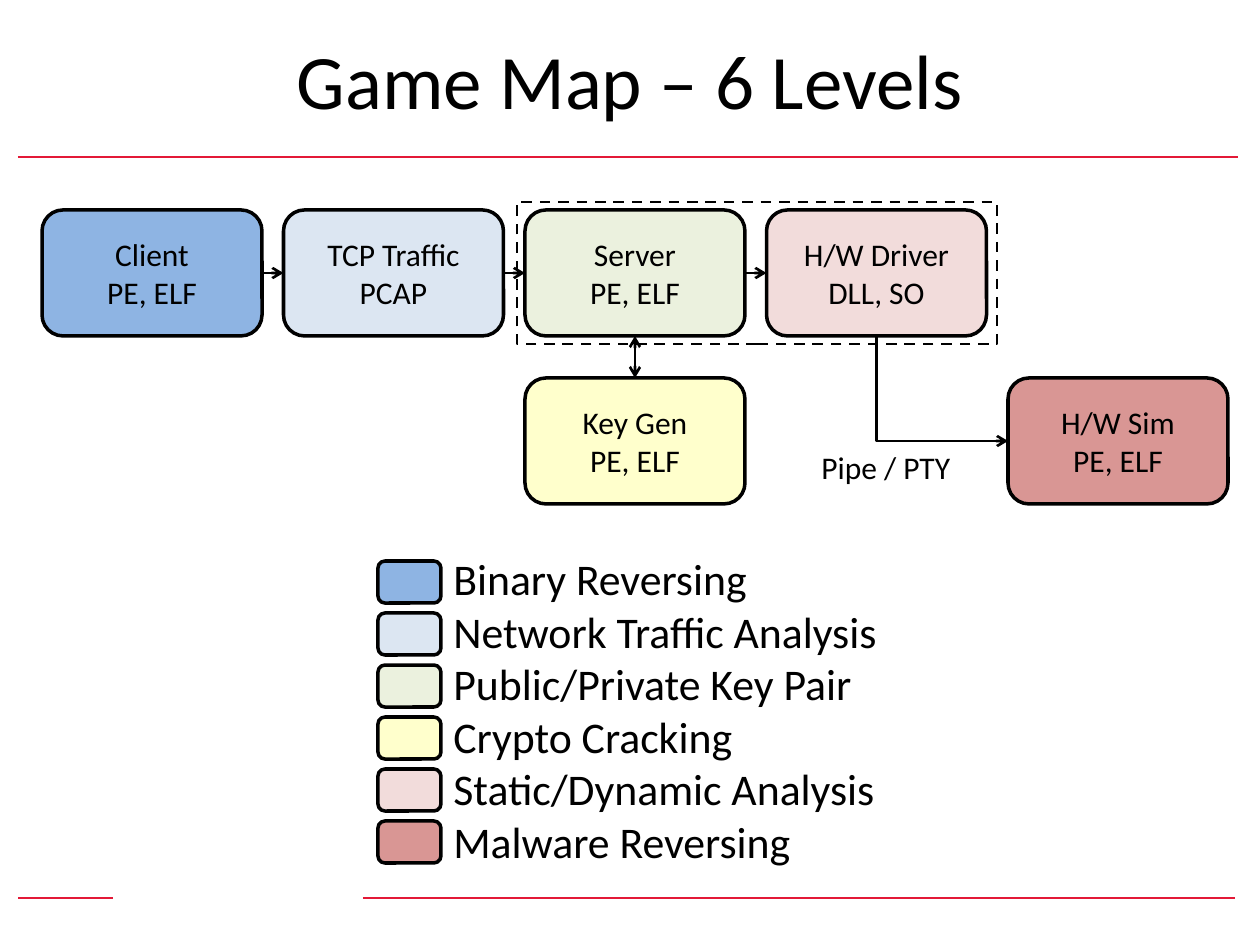
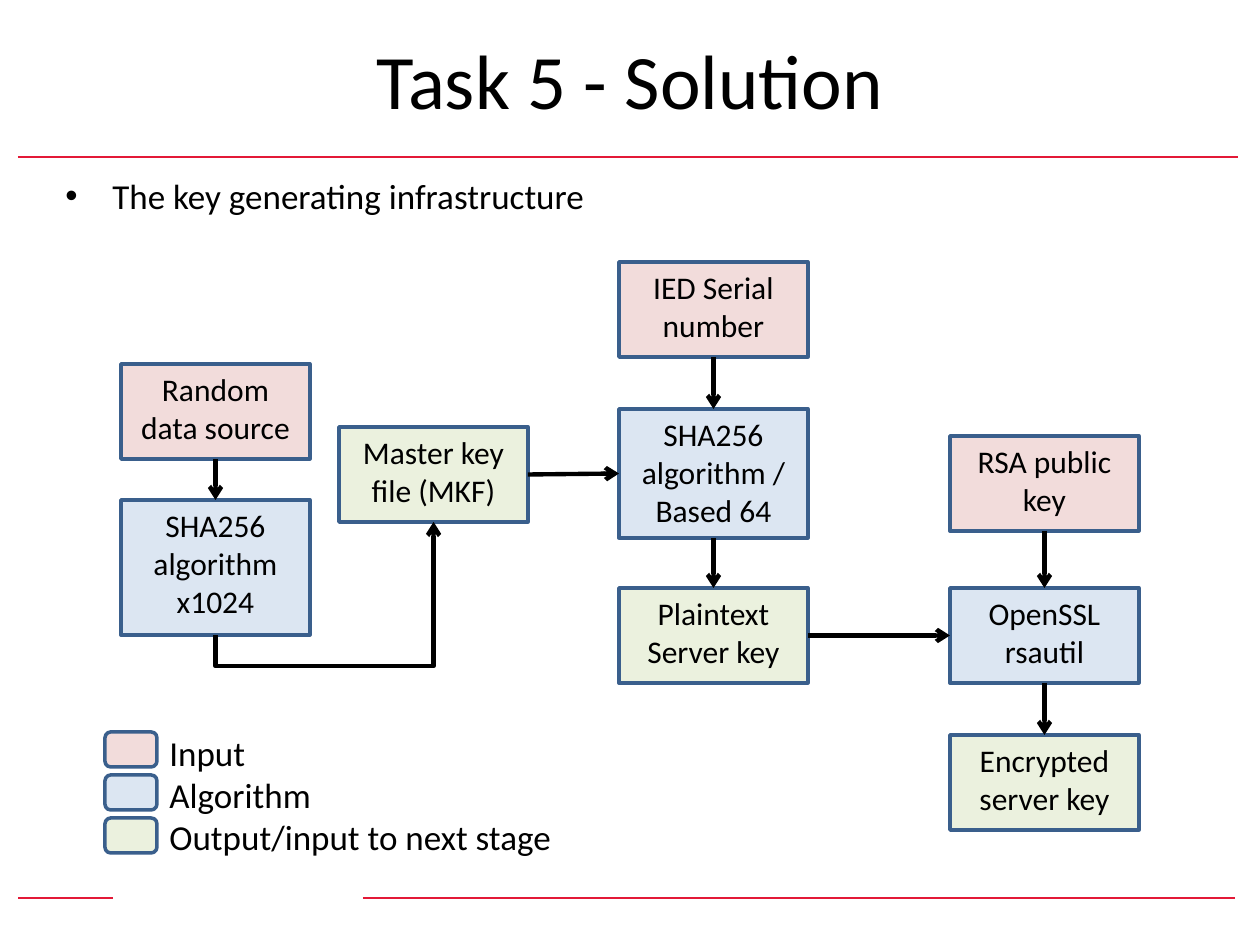
from lxml import etree
from pptx import Presentation, util as u
from pptx.dml.color import RGBColor
from pptx.enum import dml, shapes, text
from pptx.oxml import ns

FONT = "Calibri"
BLACK, RED, NAVY = "000000", "E31937", "3A5F8C"
BLUE, PALE_BLUE, GREEN = "8EB4E3", "DCE6F2", "EBF1DE"
YELLOW, PINK, ROSE = "FFFFCC", "F2DCDB", "D99694"
RECT = shapes.MSO_SHAPE.RECTANGLE
ROUNDED = shapes.MSO_SHAPE.ROUNDED_RECTANGLE


def px(n):
    return u.Emu(round(n * u.Inches(1) / 126))


def colour(hex_string):
    return RGBColor.from_string(hex_string)


def sub(parent, tag, **attributes):
    return etree.SubElement(parent, ns.qn(tag), attributes)


# Text, boxes and lines

def write(frame, lines, size, align=text.PP_ALIGN.LEFT, anchor=text.MSO_ANCHOR.TOP):
    frame.word_wrap = True
    frame.vertical_anchor = anchor
    for i, line in enumerate(lines):
        paragraph = frame.add_paragraph() if i else frame.paragraphs[0]
        paragraph.alignment = align
        run = paragraph.add_run()
        run.text = line
        run.font.name, run.font.size = FONT, u.Pt(size)
        run.font.color.rgb = colour(BLACK)


def add_text(slide, box, lines, size):
    frame = slide.shapes.add_textbox(*map(px, box)).text_frame
    write(frame, lines, size)
    return frame


def add_box(slide, kind, box, fill, outline, width=2):
    shape = slide.shapes.add_shape(kind, *map(px, box))
    shape.shadow.inherit = False
    if fill:
        shape.fill.solid()
        shape.fill.fore_color.rgb = colour(fill)
    else:
        shape.fill.background()
    shape.line.color.rgb = colour(outline)
    shape.line.width = u.Pt(width)
    return shape


def add_line(slide, start, end, width, line_colour=BLACK, heads=(),
             kind=shapes.MSO_CONNECTOR.STRAIGHT):
    line = slide.shapes.add_connector(kind, *map(px, (*start, *end)))
    line.line.color.rgb = colour(line_colour)
    line.line.width = u.Pt(width)
    properties = line._element.spPr
    for head in heads:
        sub(properties.find(ns.qn("a:ln")), head, type="arrow")
    sub(properties, "a:effectLst")
    return line


def add_arrow(slide, start, end, width, both=False):
    heads = ("a:headEnd", "a:tailEnd") if both else ("a:tailEnd",)
    add_line(slide, start, end, width, heads=heads)


def add_elbow(slide, start, end, width, preset, turn, adjust=None):
    """Bent arrow that leaves vertically; turn is 90 or 270 degrees."""
    mid_x, mid_y = (start[0] + end[0]) / 2, (start[1] + end[1]) / 2
    sign = 1 if turn == 270 else -1
    flat = [(mid_x - sign * (y - mid_y), mid_y + sign * (x - mid_x))
            for x, y in (start, end)]
    line = add_line(slide, *flat, width, heads=("a:tailEnd",),
                    kind=shapes.MSO_CONNECTOR.ELBOW)
    properties = line._element.spPr
    properties.find(ns.qn("a:xfrm")).set("rot", str(turn * 60000))
    geometry = properties.find(ns.qn("a:prstGeom"))
    geometry.set("prst", preset)
    if adjust is not None:
        guides = geometry.find(ns.qn("a:avLst"))
        sub(guides, "a:gd", name="adj1", fmla=f"val {adjust}")


def side(box, name):
    left, top, width, height = box
    return {"top": (left + width / 2, top),
            "bottom": (left + width / 2, top + height),
            "left": (left, top + height / 2),
            "right": (left + width, top + height / 2)}[name]


# Regions

def titled_slide(deck, title):
    slide = deck.slides.add_slide(deck.slide_layouts[5])
    for start, end in (((363, 898), (1235, 898)), ((113, 898), (18, 898)),
                       ((18, 157), (1238, 157))):
        add_line(slide, start, end, 1.5, RED)
    heading = slide.shapes.title
    heading.left, heading.top, heading.width, heading.height = map(px, (63, 0, 1134, 157))
    write(heading.text_frame, [title], 44, text.PP_ALIGN.CENTER, text.MSO_ANCHOR.MIDDLE)
    return slide


def legend(slide, box, entries, swatch, pitch, first, outline, size):
    left, top, width, height = box
    swatch_width, swatch_height = swatch
    for i, fill in enumerate(entries.values()):
        add_box(slide, ROUNDED, (left, top + first + pitch * i, *swatch), fill, outline)
    add_text(slide, (left + swatch_width, top, width - swatch_width, height), entries, size)


def level_map(slide, box):
    left, top, width, height = box
    level_width, level_height = 220, 126
    column, row = (width - level_width) / 4, height - level_height
    levels = {
        "Client": (0, 0, "PE, ELF", BLUE),
        "TCP Traffic": (1, 0, "PCAP", PALE_BLUE),
        "Server": (2, 0, "PE, ELF", GREEN),
        "Key Gen": (2, 1, "PE, ELF", YELLOW),
        "H/W Driver": (3, 0, "DLL, SO", PINK),
        "H/W Sim": (4, 1, "PE, ELF", ROSE),
    }
    places = {}
    for name, (across, down, files, fill) in levels.items():
        places[name] = (left + column * across, top + row * down, level_width, level_height)
        level = add_box(slide, ROUNDED, places[name], fill, BLACK)
        write(level.text_frame, [name, files], 18, text.PP_ALIGN.CENTER, text.MSO_ANCHOR.MIDDLE)

    # Links between levels
    chain = ["Client", "TCP Traffic", "Server", "H/W Driver"]
    for source, target in zip(chain, chain[1:]):
        add_arrow(slide, side(places[source], "right"), side(places[target], "left"), 1.5)
    add_arrow(slide, side(places["Server"], "bottom"), side(places["Key Gen"], "top"),
              1.5, both=True)

    # Server and driver share a host
    host = add_box(slide, RECT, (left + 475, top - 8, 480, 142), None, BLACK, 1.5)
    host.line.dash_style = dml.MSO_LINE.DASH

    add_elbow(slide, side(places["H/W Driver"], "bottom"), side(places["H/W Sim"], "left"),
              1.5, "bentConnector2", 270)
    add_text(slide, (left + 767, top + 232, 179, 50), ["Pipe / PTY"], 18)


def key_flow(slide, origin):
    left, top = origin
    step_width = 189
    columns = (0, 218, 498, 829)
    steps = {
        "random": (0, 102, 95, PINK, ["Random data source"]),
        "master": (1, 165, 95, GREEN, ["Master key file (MKF)"]),
        "hash": (0, 238, 135, PALE_BLUE, ["SHA256 algorithm", "x1024"]),
        "serial": (2, 0, 95, PINK, ["IED Serial number"]),
        "encode": (2, 147, 129, PALE_BLUE, ["SHA256 algorithm / Based 64"]),
        "plain": (2, 326, 95, GREEN, ["Plaintext Server key"]),
        "public": (3, 174, 95, PINK, ["RSA public key"]),
        "openssl": (3, 326, 95, PALE_BLUE, ["OpenSSL rsautil"]),
        "encrypted": (3, 473, 95, GREEN, ["Encrypted server key"]),
    }
    places = {}
    for name, (column, down, height, fill, lines) in steps.items():
        places[name] = (left + columns[column], top + down, step_width, height)
        step = add_box(slide, RECT, places[name], fill, NAVY)
        write(step.text_frame, lines, 18, text.PP_ALIGN.CENTER)

    # Links between steps
    for source, target in (("random", "hash"), ("serial", "encode"), ("encode", "plain"),
                           ("public", "openssl"), ("openssl", "encrypted")):
        add_arrow(slide, side(places[source], "bottom"), side(places[target], "top"), 2.5)
    for source, target in (("master", "encode"), ("plain", "openssl")):
        add_arrow(slide, side(places[source], "right"), side(places[target], "left"), 2.5)
    add_elbow(slide, side(places["hash"], "bottom"), side(places["master"], "bottom"),
              2.5, "bentConnector3", 90, adjust=-27600)


def bullet_text(slide, box, line):
    frame = add_text(slide, box, [line], 20)
    properties = frame.paragraphs[0]._p.get_or_add_pPr()
    properties.set("marL", str(px(47)))
    properties.set("indent", str(-px(47)))
    sub(properties, "a:buFont", typeface="Arial")
    sub(properties, "a:buChar", char="•")


# Slides

def game_map_slide(deck):
    slide = titled_slide(deck, "Game Map – 6 Levels")
    skills = {
        "Binary Reversing": BLUE,
        "Network Traffic Analysis": PALE_BLUE,
        "Public/Private Key Pair": GREEN,
        "Crypto Cracking": YELLOW,
        "Static/Dynamic Analysis": PINK,
        "Malware Reversing": ROSE,
    }
    legend(slide, (378, 546, 777, 331), skills, (63, 42), 52, 15, BLACK, 25)
    level_map(slide, (42, 210, 1186, 294))


def solution_slide(deck):
    slide = titled_slide(deck, "Task 5 - Solution")
    key_flow(slide, (121, 262))
    bullet_text(slide, (53, 168, 1134, 624), "The key generating infrastructure")
    stages = {"Input": PINK, "Algorithm": PALE_BLUE, "Output/input to next stage": GREEN}
    legend(slide, (105, 725, 488, 140), stages, (52, 35), 43, 7, NAVY, 20)


def main():
    deck = Presentation()
    deck.slide_width, deck.slide_height = px(1260), px(945)
    game_map_slide(deck)
    solution_slide(deck)
    deck.save("out.pptx")


if __name__ == "__main__":
    main()
